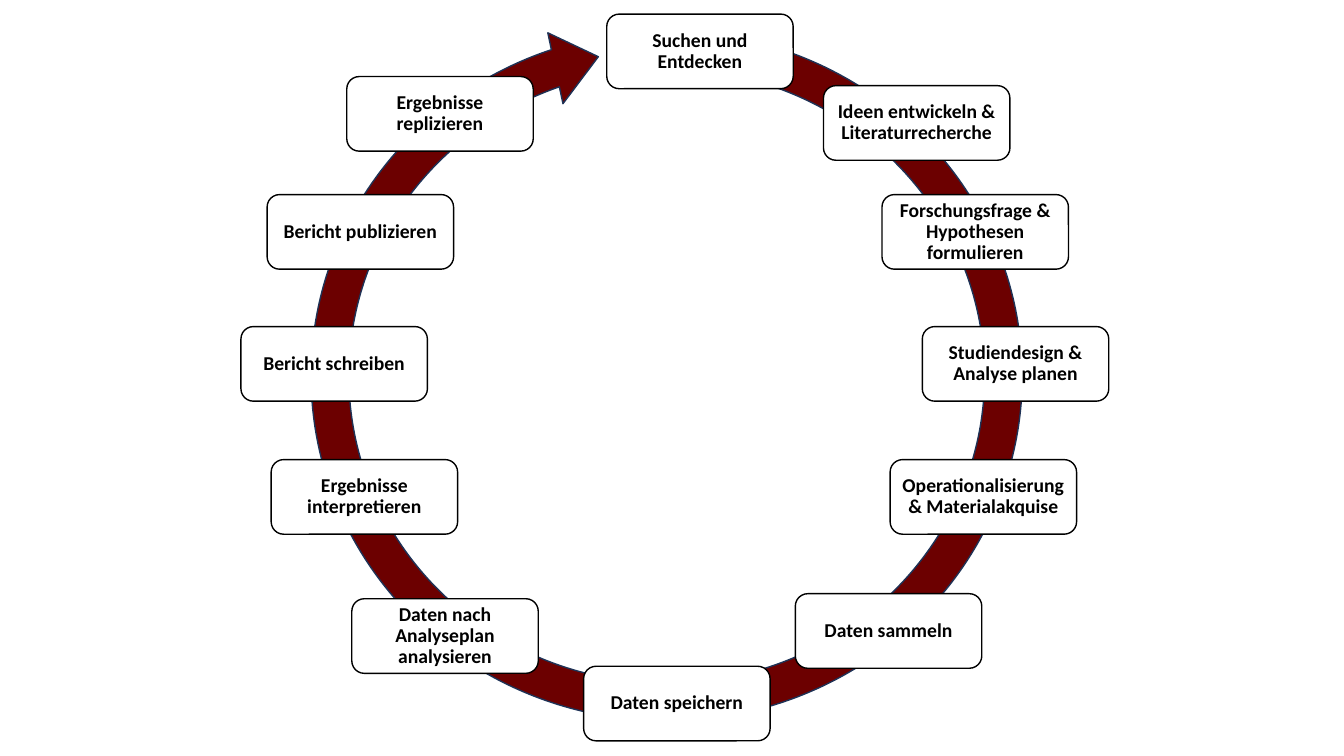
from dataclasses import dataclass

import pptx
import pptx.dml.color
import pptx.enum.shapes
import pptx.enum.text
import pptx.util

Pt = pptx.util.Pt
Preset = pptx.enum.shapes.MSO_SHAPE

BOX_WIDTH = 133.2
BOX_HEIGHT = 53.3
ARROW_ADJUSTMENTS = (0.052, 4.678, 204.072, 4.144, 0.05)


@dataclass(frozen=True)
class Step:
    label: str
    left: float
    top: float


STEPS = (
    Step("Suchen und Entdecken", 433.4, 10.1),
    Step("Ideen entwickeln & Literaturrecherche", 588.2, 61.2),
    Step("Forschungsfrage & Hypothesen formulieren", 630, 139),
    Step("Studiendesign & Analyse planen", 658.8, 233.3),
    Step("Operationalisierung & Materialakquise", 635.8, 328.3),
    Step("Daten sammeln", 568.1, 424.1),
    Step("Daten speichern", 416.9, 475.9),
    Step("Daten nach Analyseplan analysieren", 251.3, 427.7),
    Step("Ergebnisse interpretieren", 193.7, 328.3),
    Step("Bericht schreiben", 172.1, 233.3),
    Step("Bericht publizieren", 190.8, 139),
    Step("Ergebnisse replizieren", 247.7, 54.7),
)


def color(value: str) -> pptx.dml.color.RGBColor:
    return pptx.dml.color.RGBColor.from_string(value)


def add_shape(page, preset, left: float, top: float, width: float, height: float,
              *, fill: str, line: str):
    shape = page.shapes.add_shape(preset, Pt(left), Pt(top), Pt(width), Pt(height))
    shape.shadow.inherit = False
    shape.fill.solid()
    shape.fill.fore_color.rgb = color(fill)
    shape.line.color.rgb = color(line)
    shape.line.width = Pt(1)
    return shape


def write_text(box, text: str, *, size: float, font: str, ink: str, bold: bool,
               side_margin: float, end_margin: float, line_spacing: float) -> None:
    frame = box.text_frame
    frame.word_wrap = True
    frame.vertical_anchor = pptx.enum.text.MSO_ANCHOR.MIDDLE
    frame.margin_left = frame.margin_right = Pt(side_margin)
    frame.margin_top = frame.margin_bottom = Pt(end_margin)
    para = frame.paragraphs[0]
    para.alignment = pptx.enum.text.PP_ALIGN.CENTER
    para.line_spacing = line_spacing
    span = para.add_run()
    span.text = text
    span.font.size = Pt(size)
    span.font.name = font
    span.font.bold = bold
    span.font.color.rgb = color(ink)


def draw_cycle_arrow(page) -> None:
    arrow = add_shape(page, Preset.CIRCULAR_ARROW, 217.4, 2.2, 517.7, 532.8,
                      fill="6C0000", line="1E3256")
    arrow.rotation = 270
    for index, value in enumerate(ARROW_ADJUSTMENTS):
        arrow.adjustments[index] = value


def draw_step(page, step: Step) -> None:
    box = add_shape(page, Preset.ROUNDED_RECTANGLE, step.left, step.top,
                    BOX_WIDTH, BOX_HEIGHT, fill="FFFFFF", line="000000")
    write_text(box, step.label, size=14, font="Calibri", ink="000000", bold=True,
               side_margin=5.4, end_margin=3.6, line_spacing=0.9)


def main() -> None:
    deck = pptx.Presentation()
    deck.slide_width = Pt(960)
    deck.slide_height = Pt(540)
    page = deck.slides.add_slide(deck.slide_layouts[6])
    draw_cycle_arrow(page)
    for step in STEPS:
        draw_step(page, step)
    deck.save("out.pptx")


if __name__ == "__main__":
    main()
